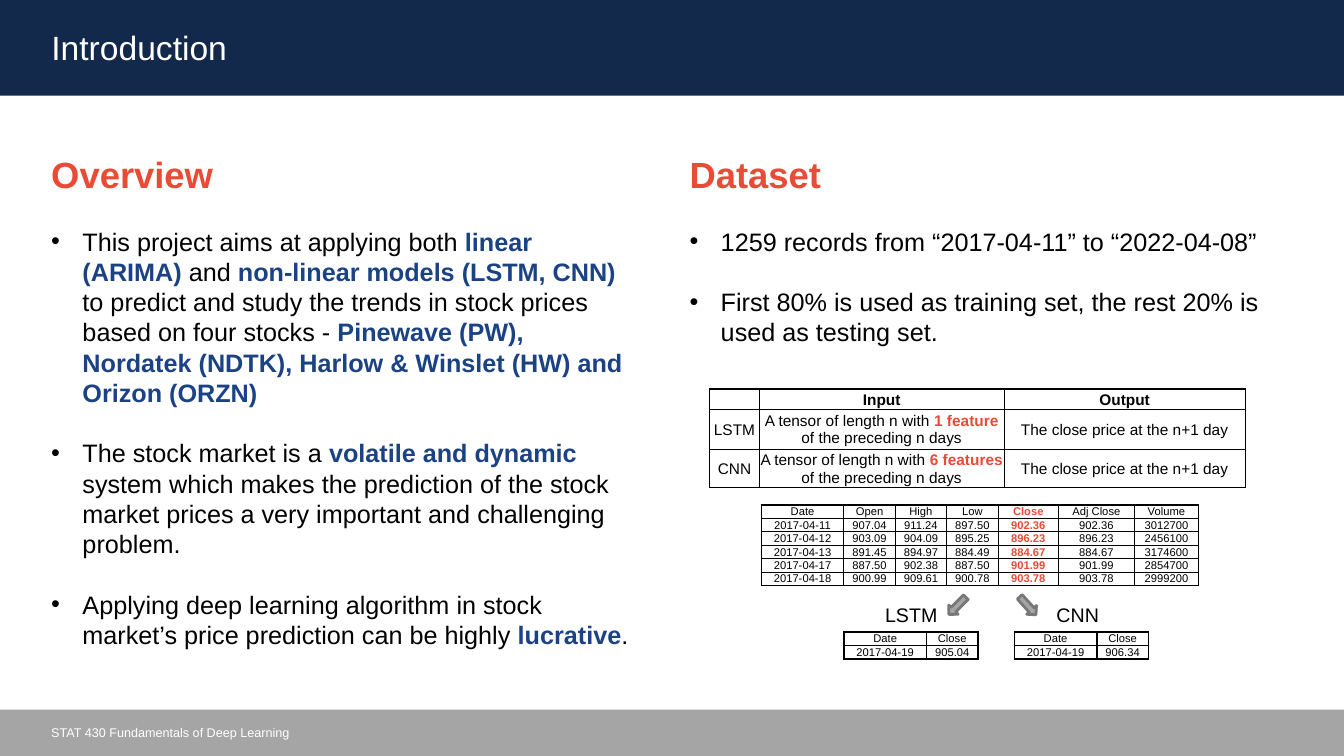
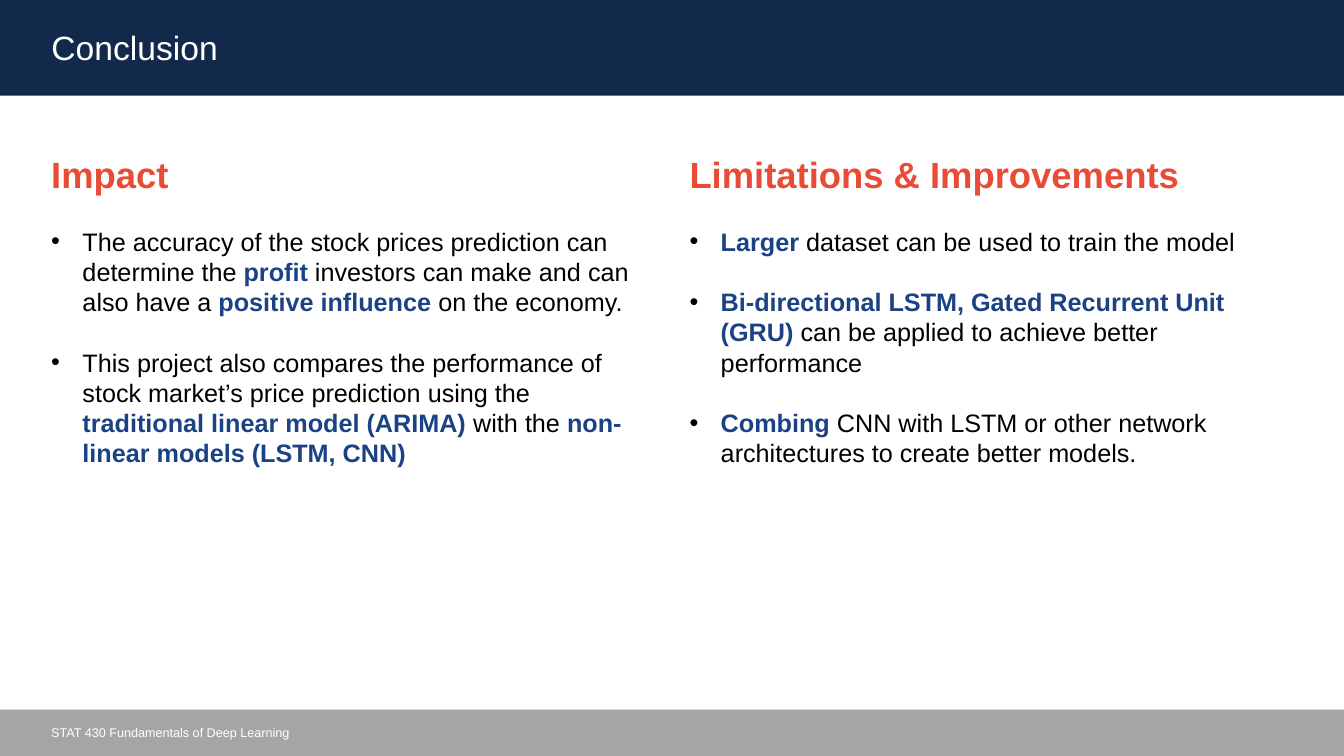
from dataclasses import dataclass

from lxml import etree
from pptx import Presentation
from pptx.dml.color import RGBColor as RGB
from pptx.enum.shapes import MSO_SHAPE as SHAPE
from pptx.enum.text import MSO_ANCHOR as ANCHOR, MSO_AUTO_SIZE as AUTO, PP_ALIGN as ALIGN
from pptx.oxml.ns import qn
from pptx.util import Inches, Pt


@dataclass(frozen=True)
class Theme:
    font: str = "Arial"
    navy: RGB = RGB(0x13, 0x29, 0x4B)
    blue: RGB = RGB(0x1B, 0x42, 0x84)
    orange: RGB = RGB(0xE8, 0x4B, 0x36)
    grey: RGB = RGB(0xA5, 0xA5, 0xA5)
    dark_grey: RGB = RGB(0x78, 0x78, 0x78)
    black: RGB = RGB(0, 0, 0)
    white: RGB = RGB(255, 255, 255)
    title: float = 24
    heading: float = 26
    body: float = 18
    label: float = 14
    cell: float = 11
    data: float = 8
    footer: float = 9
    bullet_gap: float = 21.6


T = Theme()


def add_runs(p, text, size, color, accent=T.blue):
    """Add text run by run; parts between asterisks are bold in the accent colour."""
    for i, part in enumerate(text.split("*")):
        if part:
            r = p.add_run()
            r.text = part
            f = r.font
            f.name, f.size, f.bold = T.font, Pt(size), i % 2 == 1
            f.color.rgb = accent if f.bold else color


def add_grid(s, left, top, widths, heights, rows, size, margins, head="{}"):
    """Add a table with thin black borders and centred text."""
    tbl = s.shapes.add_table(len(rows), len(widths), Inches(left), Inches(top),
                             Inches(sum(widths)), Inches(sum(heights))).table
    tbl.first_row = tbl.horz_banding = False
    for col, w in zip(tbl.columns, widths):
        col.width = Inches(w)
    for i, (row, h) in enumerate(zip(rows, heights)):
        tbl.rows[i].height = Inches(h)
        for j, text in enumerate(row):
            c = tbl.cell(i, j)
            c.vertical_anchor = ANCHOR.MIDDLE
            c.margin_left, c.margin_top, c.margin_right, c.margin_bottom = map(Inches, margins)
            c.fill.background()
            p = c.text_frame.paragraphs[0]
            p.alignment = ALIGN.CENTER
            if text:
                add_runs(p, text, size, T.black, T.black if text in HEADS else T.orange)
            else:
                etree.SubElement(p._p, qn("a:endParaRPr"), sz=str(size * 100))
            # Borders come before the fill in the cell properties
            tc_pr = c._tc.get_or_add_tcPr()
            for k, side in enumerate(("a:lnL", "a:lnR", "a:lnT", "a:lnB")):
                ln = etree.Element(qn(side), w=str(Pt(1)))
                fill = etree.SubElement(ln, qn("a:solidFill"))
                etree.SubElement(fill, qn("a:srgbClr"), val=str(T.black))
                tc_pr.insert(k, ln)


# Content: title, then a heading and bullets for each column
HEADS = ("*Input*", "*Output*")
FOOTER = "STAT 430 Fundamentals of Deep Learning"
COLUMN_LEFTS = (0.41, 6.74)
SLIDES = [
    ("Introduction", [
        ("Overview", [
            "This project aims at applying both *linear (ARIMA) *and *non-linear models "
            "(LSTM, CNN) *to predict and study the trends in stock prices based on four "
            "stocks - *Pinewave (PW), Nordatek (NDTK), Harlow & Winslet (HW) and "
            "Orizon (ORZN)*",
            "The stock market is a *volatile and dynamic *system which makes the prediction "
            "of the stock market prices a very important and challenging problem.",
            "Applying deep learning algorithm in stock market’s price prediction can be "
            "highly *lucrative*.",
        ]),
        ("Dataset", [
            "1259 records from “2017-04-11” to “2022-04-08”",
            "First 80% is used as training set, the rest 20% is used as testing set.",
        ]),
    ]),
    ("Conclusion", [
        ("Impact", [
            "The accuracy of the stock prices prediction can determine the *profit* investors "
            "can make and can also have a *positive influence *on the economy.",
            "This project also compares the performance of stock market’s price prediction "
            "using the *traditional linear model (ARIMA)* with the *non-linear models "
            "(LSTM, CNN)*",
        ]),
        ("Limitations & Improvements", [
            "*Larger* dataset can be used to train the model",
            "*Bi-directional LSTM, Gated Recurrent Unit (GRU) *can be applied to achieve "
            "better performance",
            "*Combing* CNN with LSTM or other network architectures to create better models.",
        ]),
    ]),
]

prs = Presentation()
prs.slide_width, prs.slide_height = Inches(13.33), Inches(7.5)

for title, columns in SLIDES:
    s = prs.slides.add_slide(prs.slide_layouts[5])

    # Header and footer bands, behind the title
    for top, height, color in ((0, 0.95, T.navy), (7.04, 0.46, T.grey)):
        sp = s.shapes.add_shape(SHAPE.RECTANGLE, 0, Inches(top), prs.slide_width, Inches(height))
        sp.shadow.inherit = False
        sp.fill.solid()
        sp.fill.fore_color.rgb = color
        sp.line.fill.background()
        s.shapes.title.element.addprevious(sp.element)

    # Title
    sp = s.shapes.title
    sp.left, sp.top, sp.width, sp.height = map(Inches, (0.41, 0.22, 11.93, 0.5))
    tf = sp.text_frame
    tf.auto_size, tf.vertical_anchor = AUTO.NONE, ANCHOR.TOP
    tf.paragraphs[0].alignment = ALIGN.LEFT
    add_runs(tf.paragraphs[0], title, T.title, T.white)

    # Footer text
    tf = s.shapes.add_textbox(*map(Inches, (0.41, 7.14, 8.74, 0.25))).text_frame
    tf.word_wrap = True
    add_runs(tf.paragraphs[0], FOOTER, T.footer, T.white)

    # Two columns of heading and bullets
    for left, (heading, bullets) in zip(COLUMN_LEFTS, columns):
        tf = s.shapes.add_textbox(*map(Inches, (left, 1.46, 5.95, 5.27))).text_frame
        tf.word_wrap = True
        add_runs(tf.paragraphs[0], f"*{heading}*", T.heading, T.orange, T.orange)
        for text in bullets:
            p = tf.add_paragraph()
            p.space_before = Pt(T.bullet_gap)
            p_pr = p._p.get_or_add_pPr()
            p_pr.set("marL", str(Inches(0.31)))
            p_pr.set("indent", str(-Inches(0.31)))
            bu_clr = etree.SubElement(p_pr, qn("a:buClr"))
            etree.SubElement(bu_clr, qn("a:srgbClr"), val=str(T.black))
            etree.SubElement(p_pr, qn("a:buFont"), typeface=T.font)
            etree.SubElement(p_pr, qn("a:buChar"), char="•")
            add_runs(p, text, T.body, T.black)

# Model inputs and outputs, on the first slide
s = prs.slides[0]
tensor = "A tensor of length n with *{} *of the preceding n days"
price = "The close price at the n+1 day"
add_grid(s, 7.04, 3.86, (0.49, 2.43, 2.39), (0.2, 0.4, 0.38), [
    ("", *HEADS),
    ("LSTM", tensor.format("1 feature"), price),
    ("CNN", tensor.format("6 features"), price),
], T.cell, (0.01, 0.01, 0.01, 0))

# Sample records with the close price highlighted
DATA_MARGINS = (0.07, 0, 0.07, 0)
ROW = 0.13
records = [
    ("Date", "Open", "High", "Low", "*Close*", "Adj Close", "Volume"),
    ("2017-04-11", "907.04", "911.24", "897.50", "*902.36*", "902.36", "3012700"),
    ("2017-04-12", "903.09", "904.09", "895.25", "*896.23*", "896.23", "2456100"),
    ("2017-04-13", "891.45", "894.97", "884.49", "*884.67*", "884.67", "3174600"),
    ("2017-04-17", "887.50", "902.38", "887.50", "*901.99*", "901.99", "2854700"),
    ("2017-04-18", "900.99", "909.61", "900.78", "*903.78*", "903.78", "2999200"),
]
add_grid(s, 7.55, 5.01, (0.82, 0.51, 0.51, 0.51, 0.6, 0.75, 0.64), [ROW] * len(records),
         records, T.data, DATA_MARGINS)

# Predictions: arrow, model label and result table
for model, close, arrow_left, angle, label_left, table_left in (
    ("LSTM", "905.04", 9.43, 44.6, 8.68, 8.37),
    ("CNN", "906.34", 10.13, 317.9, 10.38, 10.06),
):
    sp = s.shapes.add_shape(SHAPE.DOWN_ARROW, *map(Inches, (arrow_left, 5.89, 0.13, 0.24)))
    sp.rotation = angle
    sp.shadow.inherit = False
    sp.fill.solid()
    sp.fill.fore_color.rgb = T.grey
    sp.line.color.rgb = T.dark_grey
    sp.line.width = Pt(2)
    tf = s.shapes.add_textbox(*map(Inches, (label_left, 5.93, 0.84, 0.34))).text_frame
    tf.word_wrap = True
    add_runs(tf.paragraphs[0], model, T.label, T.black)
    add_grid(s, table_left, 6.27, (0.82, 0.51), (ROW, ROW),
             [("Date", "Close"), ("2017-04-19", close)], T.data, DATA_MARGINS)

prs.save("out.pptx")
